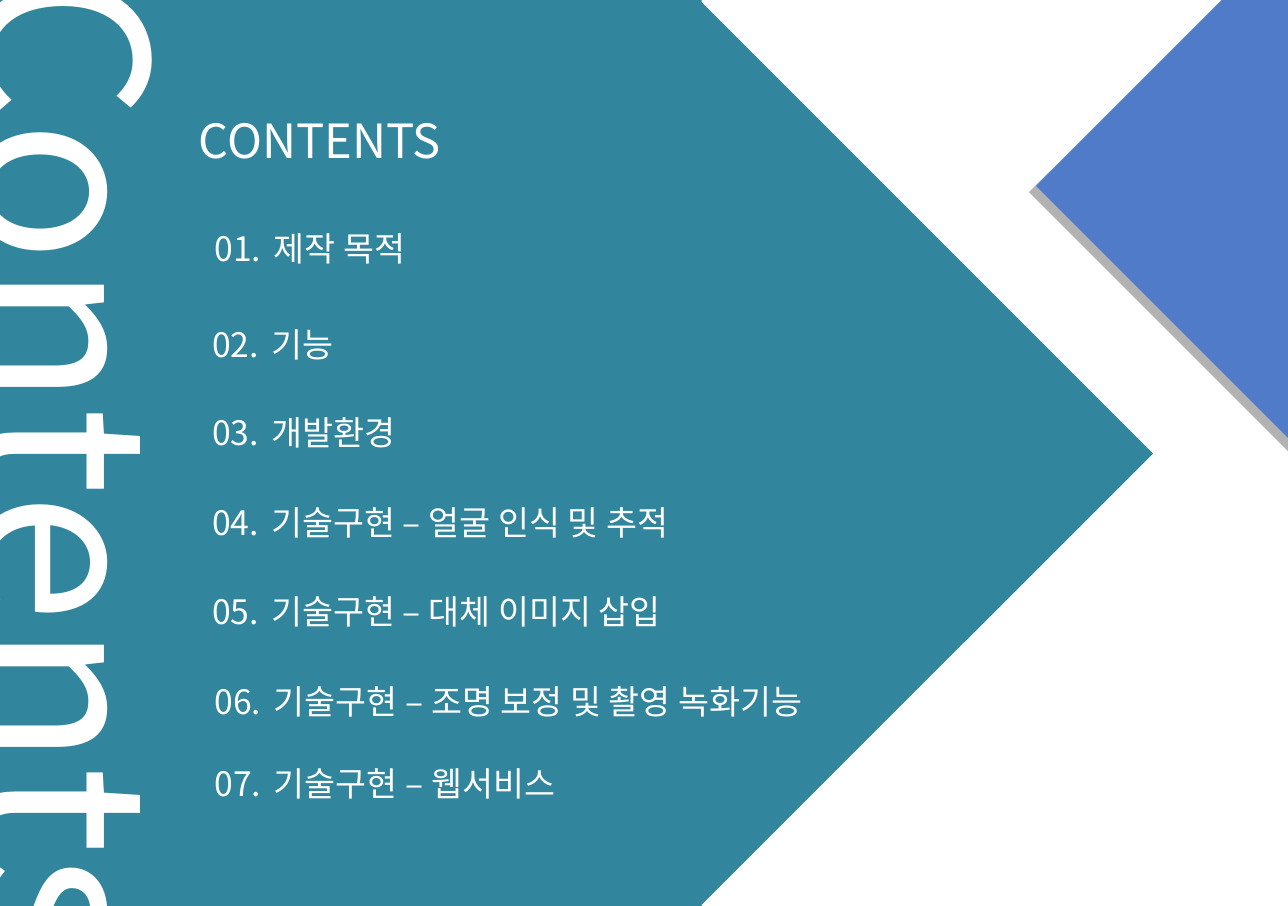
from lxml import etree
from pptx import Presentation
from pptx.dml.color import RGBColor
from pptx.enum.shapes import MSO_SHAPE as Geo
from pptx.enum.text import MSO_ANCHOR as Anchor, MSO_AUTO_SIZE as Auto, PP_ALIGN as Align
from pptx.oxml import parse_xml
from pptx.oxml.ns import nsdecls, qn
from pptx.util import Inches, Pt

FONT = "Noto Sans CJK KR"
COLORS = {"teal": "31859C", "blue": "4F7BC9", "white": "FFFFFF"}
# number, topic, left, top, width, height
ITEMS = [
    ("01.", "제작 목적", 1.77, 1.7, 4.62, 0.74),
    ("02.", "기능", 1.75, 2.49, 3.99, 0.74),
    ("03.", "개발환경", 1.75, 3.27, 2.95, 0.64),
    ("04.", "기술구현 – 얼굴 인식 및 추적", 1.75, 4.01, 2.95, 0.64),
    ("05.", "기술구현 – 대체 이미지 삽입", 1.75, 4.75, 2.95, 0.64),
    ("06.", "기술구현 – 조명 보정 및 촬영 녹화기능", 1.77, 5.49, 2.95, 0.64),
    ("07.", "기술구현 – 웹서비스", 1.77, 6.17, 2.95, 0.64),
]


def add_shape(slide, geo, box, color, turn=0):
    shape = slide.shapes.add_shape(geo, *map(Inches, box))
    shape.rotation = turn
    shape.shadow.inherit = False
    shape.fill.solid()
    shape.fill.fore_color.rgb = RGBColor.from_string(COLORS[color])
    shape.line.fill.background()
    return shape


def add_shadow(shape):
    """Give the shape a hard, slightly enlarged shadow."""
    effects = shape.element.spPr.find(qn("a:effectLst"))
    effects.append(parse_xml(
        f'<a:outerShdw {nsdecls("a")} blurRad="0" dist="{Pt(4)}" dir="{110 * 60000}"'
        ' sx="101600" sy="101600" algn="ctr" rotWithShape="0">'
        '<a:srgbClr val="000000"><a:alpha val="29000"/></a:srgbClr></a:outerShdw>'))


def add_run(para, text, size):
    run = para.add_run()
    run.text = text
    run.font.size = Pt(size)
    run.font.name = FONT
    run.font.color.rgb = RGBColor.from_string(COLORS["white"])
    etree.SubElement(run.font._element, qn("a:ea")).set("typeface", FONT)


def set_frame(frame, anchor=Anchor.TOP, wrap=False):
    frame.auto_size = Auto.NONE
    frame.word_wrap = wrap
    frame.vertical_anchor = anchor
    para = frame.paragraphs[0]
    para.alignment = Align.LEFT
    return para


def add_title(slide, text):
    title = slide.shapes.title
    title.left, title.top, title.width, title.height = map(Inches, (1.54, 0.87, 2.63, 0.63))
    add_run(set_frame(title.text_frame), text, 28)
    tree = title.element.getparent()
    tree.append(title.element)  # bring in front of the panel


def add_item(slide, num, topic, *box):
    frame = slide.shapes.add_textbox(*map(Inches, box)).text_frame
    frame.margin_left = frame.margin_right = 0
    frame.margin_top = frame.margin_bottom = 0
    para = set_frame(frame, Anchor.MIDDLE)
    para.line_spacing = 0.9
    tabs = etree.SubElement(para._p.get_or_add_pPr(), qn("a:tabLst"))
    etree.SubElement(tabs, qn("a:tab"), pos=str(Inches(0.49)), algn="l")
    add_run(para, f"{num}\t{topic}", 20)


def add_banner(slide, text):
    box = slide.shapes.add_textbox(*map(Inches, (-3.77, 3.04, 8.95, 2.19)))
    box.rotation = 90
    add_run(set_frame(box.text_frame), text, 140)


def main():
    deck = Presentation()
    deck.slide_width, deck.slide_height = Inches(10.63), Inches(7.48)
    slide = deck.slides.add_slide(deck.slide_layouts[5])
    add_shadow(add_shape(slide, Geo.DIAMOND, (8.55, -0.84, 4.75, 4.75), "blue"))
    add_shape(slide, Geo.RECTANGLE, (0, 0, 5.79, 7.48), "teal")
    add_shape(slide, Geo.RIGHT_TRIANGLE, (3.13, 1.1, 5.29, 5.29), "teal", 225)
    add_title(slide, "CONTENTS")
    add_banner(slide, "Contents")
    for item in ITEMS:
        add_item(slide, *item)
    deck.save("out.pptx")


if __name__ == "__main__":
    main()
